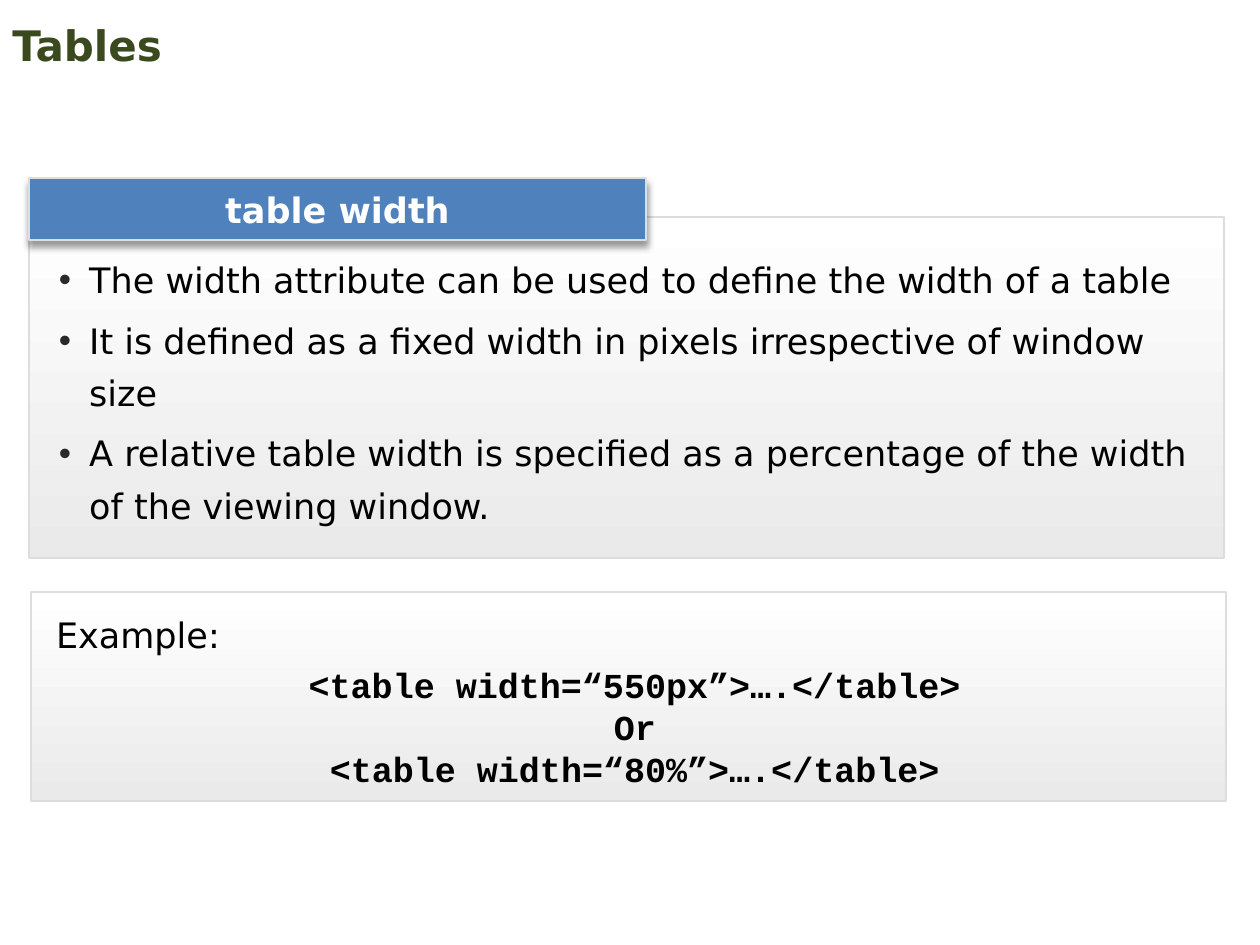
import pptx
import pptx.dml.color
import pptx.enum.shapes
import pptx.enum.text
import pptx.oxml
import pptx.oxml.ns
import pptx.util

NAMESPACE = 'xmlns:a="http://schemas.openxmlformats.org/drawingml/2006/main"'
SHADOW = (
    f'<a:outerShdw {NAMESPACE} blurRad="50800" dist="38100" dir="5400000">'
    '<a:srgbClr val="000000"><a:alpha val="40000"/></a:srgbClr></a:outerShdw>'
)
BULLET = (
    f'<a:buClr {NAMESPACE}><a:srgbClr val="292929"/></a:buClr>',
    f'<a:buFont {NAMESPACE} typeface="Arial"/>',
    f'<a:buChar {NAMESPACE} char="•"/>',
)


def color(value):
    return pptx.dml.color.RGBColor.from_string(value)


def apply(target, values):
    for name, value in values.items():
        setattr(target, name, value)


class SlideBuilder:
    body_font = "DejaVu Sans"
    code_font = "Courier New"
    border = "DDDDDD"
    gradient = ("FFFFFF", "EAEAEA")
    spaced = {"line_spacing": pptx.util.Pt(30), "space_after": pptx.util.Pt(4.5)}
    centered = {"alignment": pptx.enum.text.PP_ALIGN.CENTER}

    def __init__(self, deck):
        self.page = deck.slides.add_slide(deck.slide_layouts[6])

    def frame(self, box, left=0.0, right=0.0, vertical=0.0):
        apply(box.text_frame, {
            "word_wrap": True,
            "vertical_anchor": pptx.enum.text.MSO_ANCHOR.MIDDLE,
            "margin_left": pptx.util.Cm(left),
            "margin_right": pptx.util.Cm(right),
            "margin_top": pptx.util.Cm(vertical),
            "margin_bottom": pptx.util.Cm(vertical),
        })

    def paragraph(self, box, text, layout=None, ink="000000", **font):
        para = box.text_frame.paragraphs[0]
        if para.runs:
            para = box.text_frame.add_paragraph()
        apply(para, {"alignment": pptx.enum.text.PP_ALIGN.LEFT, **(layout or {})})
        span = para.add_run()
        span.text = text
        apply(span.font, {"name": self.body_font, "size": pptx.util.Pt(20), **font})
        span.font.color.rgb = color(ink)
        return para

    def title(self, text, *place):
        box = self.page.shapes.add_textbox(*map(pptx.util.Cm, place))
        self.frame(box, 0.25, 0.25, 0.13)
        self.paragraph(box, text, ink="3B4A1E", size=pptx.util.Pt(24), bold=True)

    def rectangle(self, *place):
        box = self.page.shapes.add_shape(
            pptx.enum.shapes.MSO_SHAPE.RECTANGLE, *map(pptx.util.Cm, place))
        box.line.color.rgb = color(self.border)
        box.line.width = pptx.util.Pt(1)
        box.shadow.inherit = False
        return box

    def panel(self, place, margin_left, margin_right):
        box = self.rectangle(*place)
        box.fill.gradient()
        box.fill.gradient_angle = 270
        for position, (stop, shade) in enumerate(zip(box.fill.gradient_stops, self.gradient)):
            stop.position = position
            stop.color.rgb = color(shade)
        self.frame(box, margin_left, margin_right)
        return box

    def heading(self, text, *place):
        box = self.rectangle(*place)
        box.fill.solid()
        box.fill.fore_color.rgb = color("4F81BD")
        effects = box.element.spPr.find(pptx.oxml.ns.qn("a:effectLst"))
        effects.append(pptx.oxml.parse_xml(SHADOW))
        self.frame(box)
        self.paragraph(box, text, self.centered, "FFFFFF", bold=True)

    def bullets(self, box, lines):
        for line in lines:
            para = self.paragraph(box, line, self.spaced)
            properties = para._p.get_or_add_pPr()
            indent = pptx.util.Cm(0.61)
            properties.set("marL", str(int(indent)))
            properties.set("indent", str(-int(indent)))
            for markup in BULLET:
                properties.append(pptx.oxml.parse_xml(markup))

    def example(self, box, label, lines):
        self.paragraph(box, label, self.spaced)
        for line in lines:
            self.paragraph(box, line, self.centered, name=self.code_font, bold=True)


def main():
    deck = pptx.Presentation()
    apply(deck, {
        "slide_width": pptx.util.Cm(25.4),
        "slide_height": pptx.util.Cm(19.05),
    })
    builder = SlideBuilder(deck)
    builder.title("Tables", 0, 0.36, 22.86, 1.09)

    width_panel = builder.panel((0.58, 4.37, 24.1, 6.88), 0.61, 0.61)
    builder.bullets(width_panel, [
        "The width attribute can be used to define the width of a table",
        "It is defined as a fixed width in pixels irrespective of window size",
        "A relative table width is specified as a percentage of the width "
        "of the viewing window.",
    ])
    builder.heading("table width", 0.58, 3.59, 12.45, 1.25)

    example_panel = builder.panel((0.62, 11.94, 24.1, 4.21), 0.51, 0.25)
    builder.example(example_panel, "Example:", [
        "<table width=“550px”>….</table>",
        "Or",
        "<table width=“80%”>….</table>",
    ])
    deck.save("out.pptx")


if __name__ == "__main__":
    main()
